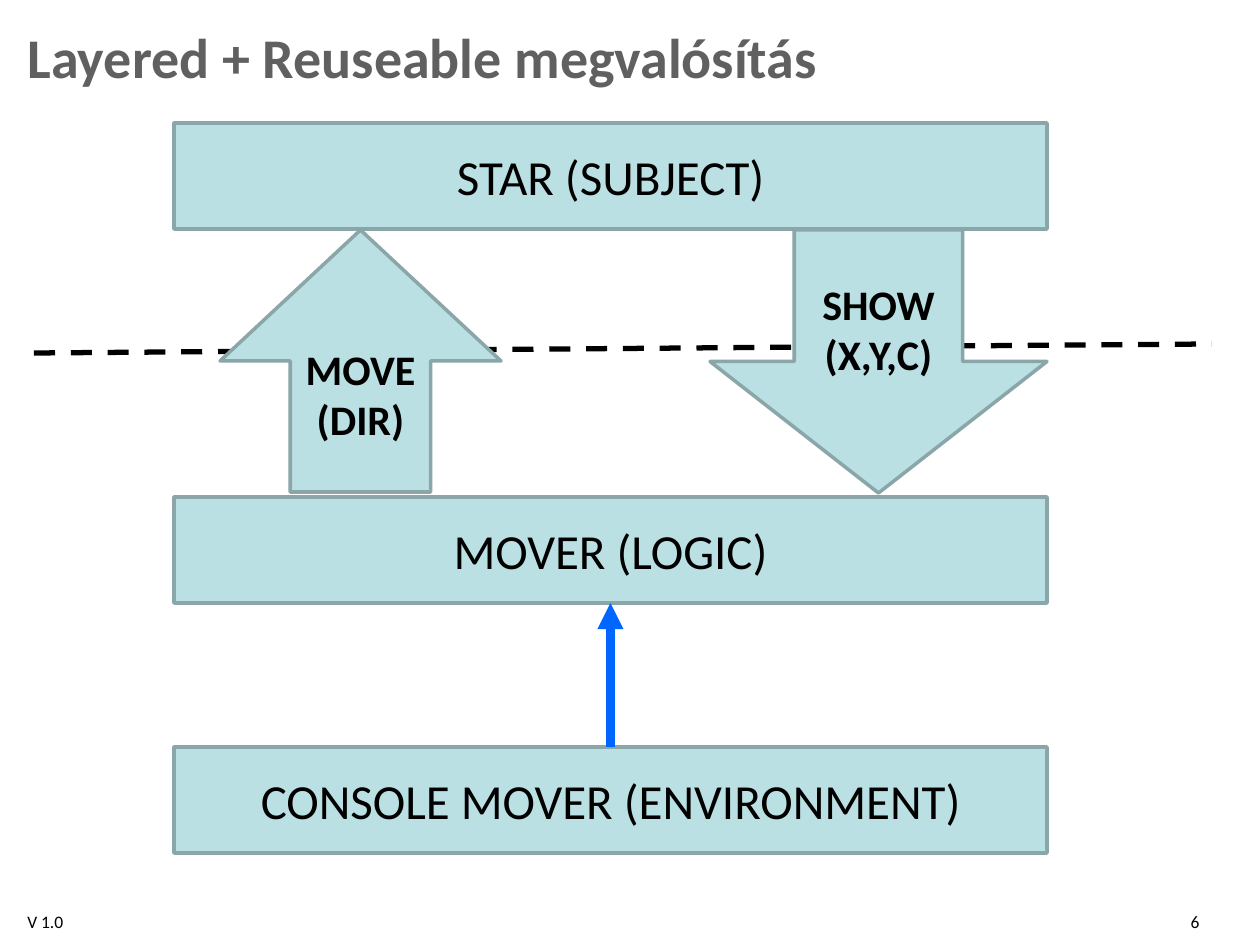
from dataclasses import dataclass

from lxml import etree
from pptx import Presentation
from pptx import util as u
from pptx.dml.color import RGBColor
from pptx.enum import dml, shapes, text
from pptx.oxml.ns import qn

PX = u.Inches(1) / 126


@dataclass(frozen=True)
class Theme:
    font: str = "Calibri"
    ink: str = "000000"
    title_ink: str = "606060"
    fill: str = "BBE0E3"
    outline: str = "8AA6A8"
    accent: str = "0066FF"
    title_size: int = 32
    layer_size: int = 28
    arrow_size: int = 24
    footer_size: int = 10
    outline_width: int = 2
    boundary_width: int = 3
    call_width: int = 5


def px(*lengths):
    return [u.Emu(round(length * PX)) for length in lengths]


def color(code):
    return RGBColor.from_string(code)


class SlideBuilder:
    def __init__(self, slide, theme):
        self.slide = slide
        self.theme = theme

    def add_runs(self, paragraph, content, size, ink=None, bold=False):
        """Add runs to a paragraph; a newline becomes a line break."""
        for index, line in enumerate(content.split("\n")):
            if index:
                paragraph.add_line_break()
            run = paragraph.add_run()
            run.text = line
            run.font.name = self.theme.font
            run.font.size = u.Pt(size)
            run.font.bold = bold
            run.font.color.rgb = color(ink or self.theme.ink)

    def title(self, content, box):
        shape = self.slide.shapes.title
        shape.left, shape.top, shape.width, shape.height = px(*box)
        frame = shape.text_frame
        frame.auto_size = text.MSO_AUTO_SIZE.NONE
        frame.vertical_anchor = text.MSO_ANCHOR.MIDDLE
        paragraph = frame.paragraphs[0]
        paragraph.alignment = text.PP_ALIGN.LEFT
        self.add_runs(paragraph, content, self.theme.title_size,
                      self.theme.title_ink, bold=True)

    def footer(self, content, box, alignment):
        frame = self.slide.shapes.add_textbox(*px(*box)).text_frame
        frame.word_wrap = True
        paragraph = frame.paragraphs[0]
        paragraph.alignment = alignment
        self.add_runs(paragraph, content, self.theme.footer_size)

    def block(self, kind, paragraphs, box, size, bold=False):
        shape = self.slide.shapes.add_shape(kind, *px(*box))
        shape.shadow.inherit = False
        shape.fill.solid()
        shape.fill.fore_color.rgb = color(self.theme.fill)
        shape.line.color.rgb = color(self.theme.outline)
        shape.line.width = u.Pt(self.theme.outline_width)
        frame = shape.text_frame
        frame.word_wrap = True
        frame.vertical_anchor = text.MSO_ANCHOR.MIDDLE
        for index, content in enumerate(paragraphs):
            paragraph = frame.add_paragraph() if index else frame.paragraphs[0]
            paragraph.alignment = text.PP_ALIGN.CENTER
            self.add_runs(paragraph, content, size, bold=bold)
        return shape

    def layer(self, content, top):
        return self.block(shapes.MSO_SHAPE.RECTANGLE, [content],
                          (174, top, 873, 106), self.theme.layer_size)

    def block_arrow(self, kind, paragraphs, box):
        return self.block(kind, paragraphs, box, self.theme.arrow_size, bold=True)

    def line(self, start, end, ink, width):
        connector = self.slide.shapes.add_connector(
            shapes.MSO_CONNECTOR.STRAIGHT, *px(*start, *end))
        connector.line.color.rgb = color(ink)
        connector.line.width = u.Pt(width)
        etree.SubElement(connector._element.spPr, qn("a:effectLst"))
        return connector

    def boundary(self, start, end):
        connector = self.line(start, end, self.theme.ink, self.theme.boundary_width)
        connector.line.dash_style = dml.MSO_LINE.DASH

    def call(self, caller, callee):
        """Draw an arrow from the top of the caller to the bottom of the callee."""
        connector = self.line((0, 0), (0, 0), self.theme.accent, self.theme.call_width)
        connector.begin_connect(caller, 0)
        connector.end_connect(callee, 2)
        outline = connector.line._get_or_add_ln()
        etree.SubElement(outline, qn("a:tailEnd"), type="triangle")


def main():
    presentation = Presentation()
    presentation.slide_width, presentation.slide_height = px(1260, 945)
    slide = presentation.slides.add_slide(presentation.slide_layouts[5])
    builder = SlideBuilder(slide, Theme())

    builder.footer("V 1.0", (15, 905, 100, 25), text.PP_ALIGN.LEFT)
    builder.boundary((34, 353), (1212, 344))
    builder.title("Layered + Reuseable megvalósítás", (15, 16, 1230, 80))
    builder.footer("6", (1047, 905, 165, 25), text.PP_ALIGN.RIGHT)

    builder.layer("STAR (SUBJECT)", 123)
    logic = builder.layer("MOVER (LOGIC)", 497)
    environment = builder.layer("CONSOLE MOVER (ENVIRONMENT)", 747)
    builder.call(environment, logic)

    builder.block_arrow(shapes.MSO_SHAPE.UP_ARROW, ["MOVE", "(DIR)"],
                        (220, 230, 281, 262))
    builder.block_arrow(shapes.MSO_SHAPE.DOWN_ARROW, ["SHOW\n(X,Y,C)"],
                        (710, 230, 337, 263))

    presentation.save("out.pptx")


if __name__ == "__main__":
    main()
